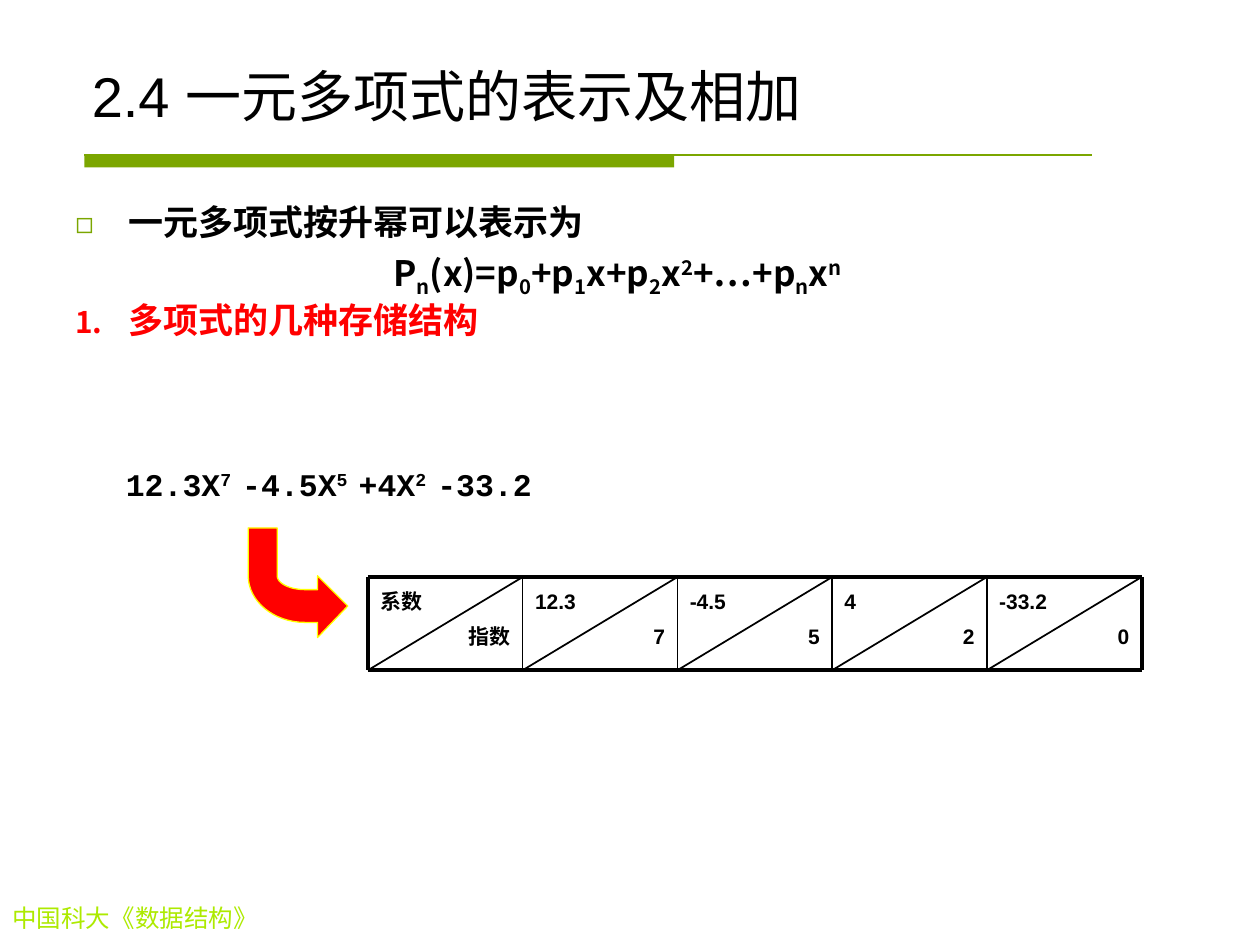
"""Build the slide on representing and adding polynomials in one variable."""
from dataclasses import dataclass

import lxml.etree
import pptx
import pptx.dml.color
import pptx.enum.shapes
import pptx.enum.text
import pptx.oxml
import pptx.oxml.ns
import pptx.util

BLACK = pptx.dml.color.RGBColor(0x00, 0x00, 0x00)
RED = pptx.dml.color.RGBColor(0xFF, 0x00, 0x00)
YELLOW = pptx.dml.color.RGBColor(0xFF, 0xFF, 0x00)
GREEN = pptx.dml.color.RGBColor(0x7B, 0xA6, 0x00)
LIME = pptx.dml.color.RGBColor(0xAD, 0xEA, 0x00)

CHINESE_FONT = "Noto Sans CJK SC"
LEFT = pptx.enum.text.PP_ALIGN.LEFT
CENTER = pptx.enum.text.PP_ALIGN.CENTER
RIGHT = pptx.enum.text.PP_ALIGN.RIGHT
TOP = pptx.enum.text.MSO_ANCHOR.TOP
BOTTOM = pptx.enum.text.MSO_ANCHOR.BOTTOM
SUBSCRIPT, SUPERSCRIPT = -25, 30

GRID_LEFT, GRID_TOP = 2.92, 4.58
COLUMN_WIDTH, ROW_HEIGHT = 1.228, 0.74
TERMS = (("系数", "指数"), ("12.3", "7"), ("-4.5", "5"), ("4", "2"), ("-33.2", "0"))


@dataclass(frozen=True)
class Style:
    """Character formatting shared by the runs of a paragraph."""

    size: float
    font: str
    color: pptx.dml.color.RGBColor = BLACK
    bold: bool = False


@dataclass(frozen=True)
class Line:
    """One paragraph: runs of (text, baseline shift) and its layout."""

    runs: tuple[tuple[str, int], ...]
    style: Style
    alignment: pptx.enum.text.PP_ALIGN = LEFT
    spacing: float = 1.0
    before: float = 0
    hanging: float = 0
    marker: str = ""
    marker_color: pptx.dml.color.RGBColor = GREEN


@dataclass(frozen=True)
class Box:
    """A text box placed in inches."""

    left: float
    top: float
    width: float
    height: float
    lines: tuple[Line, ...]
    anchor: pptx.enum.text.MSO_ANCHOR = TOP
    wrap: bool = True


def add_marker(properties, line: Line) -> None:
    """Give a paragraph its bullet or its automatic number."""
    namespace = pptx.oxml.ns.nsdecls("a")
    kind = (f'<a:buChar {namespace} char="{line.marker}"/>' if line.marker == "◻"
            else f'<a:buAutoNum {namespace} type="{line.marker}"/>')
    for xml in (
        f'<a:buClr {namespace}><a:srgbClr val="{line.marker_color}"/></a:buClr>',
        f'<a:buSzPct {namespace} val="85000"/>',
        f'<a:buFont {namespace} typeface="{CHINESE_FONT}"/>',
        kind,
    ):
        properties.append(pptx.oxml.parse_xml(xml))


def add_run(paragraph, text: str, baseline: int, style: Style) -> None:
    """Append one formatted run."""
    run = paragraph.add_run()
    run.text = text
    run.font.size = pptx.util.Pt(style.size)
    run.font.name = style.font
    run.font.bold = style.bold
    run.font.color.rgb = style.color
    properties = run.font._element
    east_asian = lxml.etree.SubElement(properties, pptx.oxml.ns.qn("a:ea"))
    east_asian.set("typeface", CHINESE_FONT)
    if baseline:
        properties.set("baseline", str(baseline * 1000))


def add_box(slide, box: Box) -> None:
    """Draw a text box with all its paragraphs."""
    shape = slide.shapes.add_textbox(
        *map(pptx.util.Inches, (box.left, box.top, box.width, box.height)))
    frame = shape.text_frame
    frame.word_wrap = box.wrap
    frame.vertical_anchor = box.anchor
    for index, line in enumerate(box.lines):
        paragraph = frame.add_paragraph() if index else frame.paragraphs[0]
        paragraph.alignment = line.alignment
        paragraph.line_spacing = line.spacing
        paragraph.space_before = pptx.util.Pt(line.before)
        properties = paragraph._p.get_or_add_pPr()
        properties.set("marL", str(pptx.util.Inches(line.hanging)))
        properties.set("indent", str(-pptx.util.Inches(line.hanging)))
        if line.marker:
            add_marker(properties, line)
        for text, baseline in line.runs:
            add_run(paragraph, text, baseline, line.style)


def add_line(slide, start: tuple[float, float], end: tuple[float, float],
             width: float, color: pptx.dml.color.RGBColor = BLACK) -> None:
    """Draw a straight line between two points in inches."""
    connector = slide.shapes.add_connector(
        pptx.enum.shapes.MSO_CONNECTOR.STRAIGHT, *map(pptx.util.Inches, start + end))
    connector.line.color.rgb = color
    connector.line.width = pptx.util.Pt(width)
    lxml.etree.SubElement(connector._element.spPr, pptx.oxml.ns.qn("a:effectLst"))


def curve(*controls: tuple[float, float], steps: int = 16) -> list[tuple[float, float]]:
    """Return points along a cubic curve, without its start."""
    points = []
    for step in range(1, steps + 1):
        t = step / steps
        weights = ((1 - t) ** 3, 3 * t * (1 - t) ** 2, 3 * t * t * (1 - t), t ** 3)
        points.append(tuple(sum(weight * control[axis] for weight, control
                                in zip(weights, controls)) for axis in (0, 1)))
    return points


def add_arrow(slide) -> None:
    """Draw the bent arrow from the polynomial to its storage."""
    points = [
        (1.97, 4.19), (1.97, 4.57),
        *curve((1.97, 4.57), (1.97, 4.77), (2.17, 4.94), (2.42, 4.94)),
        (2.52, 4.94), (2.52, 5.06), (2.76, 4.81), (2.52, 4.57), (2.52, 4.68), (2.42, 4.68),
        *curve((2.42, 4.68), (2.3, 4.68), (2.2, 4.63), (2.2, 4.57)),
        (2.2, 4.19),
    ]
    start, *outline = [tuple(map(pptx.util.Inches, point)) for point in points]
    builder = slide.shapes.build_freeform(*start)
    builder.add_line_segments(outline, close=True)
    arrow = builder.convert_to_shape()
    arrow.shadow.inherit = False
    arrow.fill.solid()
    arrow.fill.fore_color.rgb = RED
    arrow.line.color.rgb = YELLOW
    arrow.line.width = pptx.util.Pt(0.75)


def add_rule(slide) -> None:
    """Draw the thick and thin rule under the title."""
    bar = slide.shapes.add_shape(
        pptx.enum.shapes.MSO_SHAPE.RECTANGLE, *map(pptx.util.Inches, (0.67, 1.23, 4.68, 0.1)))
    bar.shadow.inherit = False
    bar.fill.solid()
    bar.fill.fore_color.rgb = GREEN
    bar.line.fill.background()
    add_line(slide, (0.67, 1.23), (8.67, 1.23), 0.75, GREEN)


def add_term_grid(slide) -> None:
    """Draw the row of cells holding coefficients and exponents."""
    style = Style(12, "Arial", bold=True)
    edges = [GRID_LEFT + column * COLUMN_WIDTH for column in range(len(TERMS) + 1)]
    bottom = GRID_TOP + ROW_HEIGHT
    for left, (coefficient, exponent) in zip(edges, TERMS):
        add_box(slide, Box(left, GRID_TOP, COLUMN_WIDTH, ROW_HEIGHT, (
            Line(((coefficient, 0),), style, spacing=1.2),
            Line(((exponent, 0),), style, RIGHT, spacing=1.2, before=3))))
        add_line(slide, (left, bottom), (left + COLUMN_WIDTH, GRID_TOP), 1)
    for y in (GRID_TOP, bottom):
        add_line(slide, (edges[0], y), (edges[-1], y), 2.25)
    for x in edges:
        add_line(slide, (x, GRID_TOP), (x, bottom), 2.25 if x in (edges[0], edges[-1]) else 1)


def main() -> None:
    """Assemble and save the presentation."""
    presentation = pptx.Presentation()
    presentation.slide_width = pptx.util.Inches(10)
    presentation.slide_height = pptx.util.Inches(7.5)
    slide = presentation.slides.add_slide(presentation.slide_layouts[6])
    body, red_body = (Style(20, CHINESE_FONT, color, True) for color in (BLACK, RED))
    formula = (("P", 0), ("n", SUBSCRIPT), ("(x)=p", 0), ("0", SUBSCRIPT), ("+p", 0),
               ("1", SUBSCRIPT), ("x+p", 0), ("2", SUBSCRIPT), ("x", 0), ("2", SUPERSCRIPT),
               ("+…+p", 0), ("n", SUBSCRIPT), ("x", 0), ("n 　", SUPERSCRIPT))
    example = (("12.3X", 0), ("7 ", SUPERSCRIPT), ("-4.5X", 0), ("5 ", SUPERSCRIPT),
               ("+4X", 0), ("2 ", SUPERSCRIPT), ("-33.2", 0))
    add_rule(slide)
    for box in (
        Box(0, 7.12, 3.11, 0.34, (
            Line((("中国科大《数据结构》", 0),), Style(14, "Times New Roman", LIME)),)),
        Box(0.63, 0.33, 8.75, 0.74, (
            Line((("2.4 一元多项式的表示及相加", 0),), Style(32, "Arial")),), BOTTOM),
        Box(0.5, 1.58, 9, 4.5, (
            Line((("一元多项式按升幂可以表示为", 0),), body, LEFT, 0.9, 0, 0.42, "◻"),
            Line(formula, body, CENTER, 0.9, 5, 0.42),
            Line((("多项式的几种存储结构", 0),), red_body, LEFT, 0.9, 5, 0.42,
                 "arabicPeriod", RED))),
        Box(0.9, 3.64, 3.42, 0.4, (
            Line(example, Style(18, "Courier New", bold=True)),), wrap=False),
    ):
        add_box(slide, box)
    add_arrow(slide)
    add_term_grid(slide)
    presentation.save("out.pptx")


if __name__ == "__main__":
    main()
